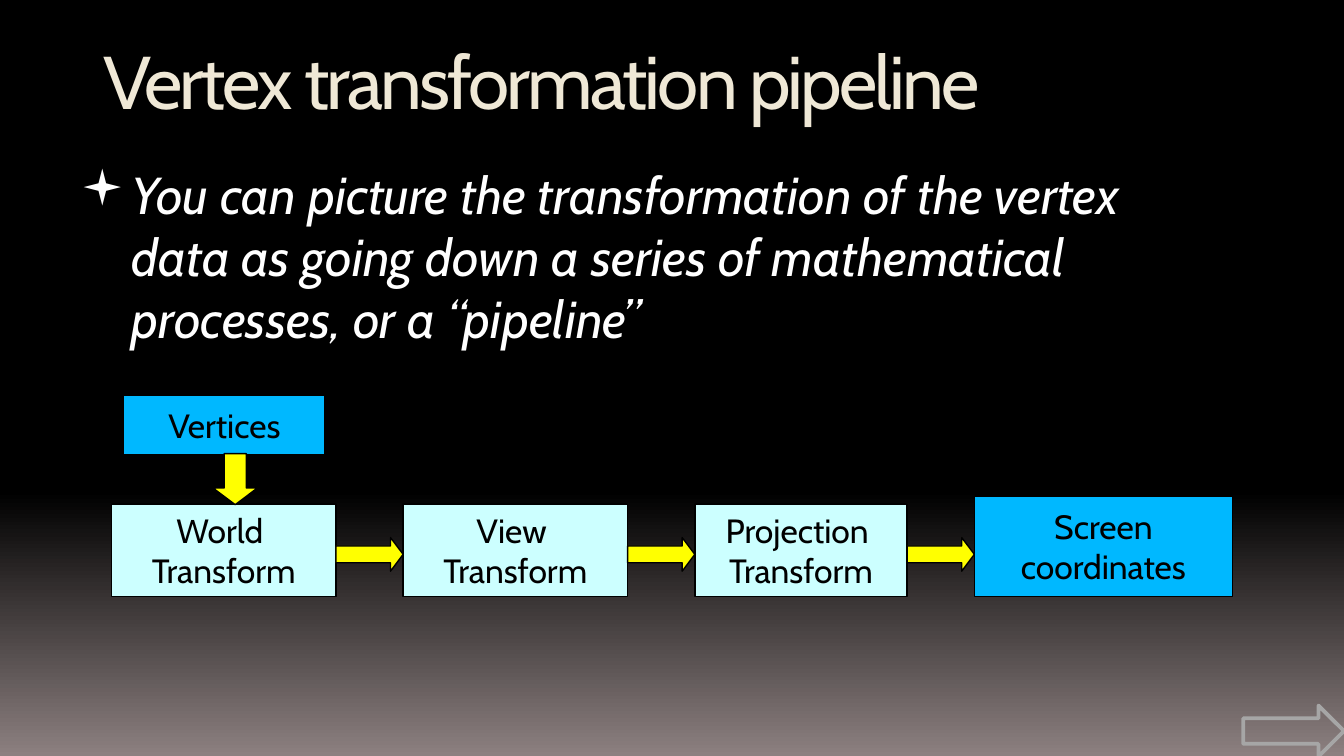
import pptx
import pptx.util
import pptx.dml.color
import pptx.enum.shapes
import pptx.enum.text
import pptx.oxml.ns
import lxml.etree

Inches = pptx.util.Inches
Pt = pptx.util.Pt
SHAPE = pptx.enum.shapes.MSO_SHAPE
ANCHOR = pptx.enum.text.MSO_ANCHOR
ALIGN = pptx.enum.text.PP_ALIGN

THEME = {
    "font": "Cabin", "bullet_font": "Wingdings",
    "title_size": 40, "body_size": 27.8, "label_size": 18,
    "title": "EFE8D6", "body": "FFFFFF", "label": "000000", "line": "000000",
    "data": "00B8FF", "step": "CCFFFF", "arrow": "FFFF00", "next": "A6A6A6",
    "sky": "000000", "ground": "8C8080",
}

TITLE = "Vertex transformation pipeline"
BODY = ("You can picture the transformation of the vertex data as going down "
        "a series of mathematical processes, or a “pipeline”")
SOURCE = (["Vertices"], "data", 0.92, 1.5, 0.44)
STAGES = [
    (["World ", "Transform"], "step", 0.83, 1.67, 0.69),
    (["View ", "Transform"], "step", 3, 1.67, 0.69),
    (["Projection ", "Transform"], "step", 5.17, 1.58, 0.69),
    (["Screen", "coordinates"], "data", 7.25, 1.92, 0.75),
]
SOURCE_BOTTOM = 3.38
STAGE_BOTTOM = 4.44
ARROW_TOP, ARROW_HEIGHT = 4, 0.25


def color(name):
    return pptx.dml.color.RGBColor.from_string(THEME[name])


def add_span(para, text, role):
    span = para.add_run()
    span.text = text
    span.font.name = THEME["font"]
    span.font.size = Pt(THEME[role + "_size"])
    span.font.color.rgb = color(role)
    return span


def add_block(slide, kind, left, top, width, height, fill, line="line", weight=0.75):
    block = slide.shapes.add_shape(
        kind, Inches(left), Inches(top), Inches(width), Inches(height))
    block.shadow.inherit = False
    if fill:
        block.fill.solid()
        block.fill.fore_color.rgb = color(fill)
    else:
        block.fill.background()
    block.line.color.rgb = color(line)
    block.line.width = Pt(weight)
    return block


def add_stage(slide, stage, bottom):
    lines, fill, left, width, height = stage
    box = add_block(slide, SHAPE.RECTANGLE, left, bottom - height, width, height, fill)
    frame = box.text_frame
    frame.word_wrap = False
    frame.vertical_anchor = ANCHOR.MIDDLE
    for index, text in enumerate(lines):
        para = frame.add_paragraph() if index else frame.paragraphs[0]
        para.alignment = ALIGN.CENTER
        add_span(para, text, "label")


def add_arrow(slide, left, top, width, height):
    arrow = add_block(slide, SHAPE.RIGHT_ARROW, left, top, width, height, "arrow")
    arrow.adjustments[0] = 0.5
    arrow.adjustments[1] = 0.375
    return arrow


def paint_background(slide):
    fill = slide.background.fill
    fill.gradient()
    fill.gradient_angle = 270
    for stop, (position, name) in zip(fill.gradient_stops, [(0.65, "sky"), (1, "ground")]):
        stop.position = position
        stop.color.rgb = color(name)


def write_title(slide):
    title = slide.shapes.title
    title.left, title.top = Inches(0.67), Inches(0.21)
    title.width, title.height = Inches(8.5), Inches(0.75)
    title.text_frame.vertical_anchor = ANCHOR.TOP
    para = title.text_frame.paragraphs[0]
    para.alignment = ALIGN.LEFT
    span = add_span(para, TITLE, "title")
    span.font._element.set("spc", "-150")


def write_body(slide):
    box = slide.shapes.add_textbox(Inches(0.43), Inches(1.16), Inches(8.75), Inches(1.38))
    box.text_frame.word_wrap = True
    para = box.text_frame.paragraphs[0]
    properties = para._p.get_or_add_pPr()
    properties.set("marL", str(Inches(0.45)))
    properties.set("indent", str(Inches(-0.38)))
    bullet = [
        ("a:buSzPct", "val", "95000"),
        ("a:buFont", "typeface", THEME["bullet_font"]),
        ("a:buChar", "char", "▪"),
    ]
    for tag, key, value in bullet:
        lxml.etree.SubElement(properties, pptx.oxml.ns.qn(tag)).set(key, value)
    add_span(para, BODY, "body").font.italic = True


def draw_pipeline(slide):
    add_stage(slide, SOURCE, SOURCE_BOTTOM)
    for stage in STAGES:
        add_stage(slide, stage, STAGE_BOTTOM)
    add_arrow(slide, 1.56, 3.4, 0.38, 0.33).rotation = 90
    for before, after in zip(STAGES, STAGES[1:]):
        start = before[2] + before[3]
        add_arrow(slide, start, ARROW_TOP, after[2] - start, ARROW_HEIGHT)
    add_block(slide, SHAPE.RIGHT_ARROW, 9.25, 5.25, 0.75, 0.38, None, "next", 2)


def main():
    deck = pptx.Presentation()
    deck.slide_width = Inches(10)
    deck.slide_height = deck.slide_width * 9 // 16
    slide = deck.slides.add_slide(deck.slide_layouts[5])
    paint_background(slide)
    write_title(slide)
    write_body(slide)
    draw_pipeline(slide)
    deck.save("out.pptx")


if __name__ == "__main__":
    main()
